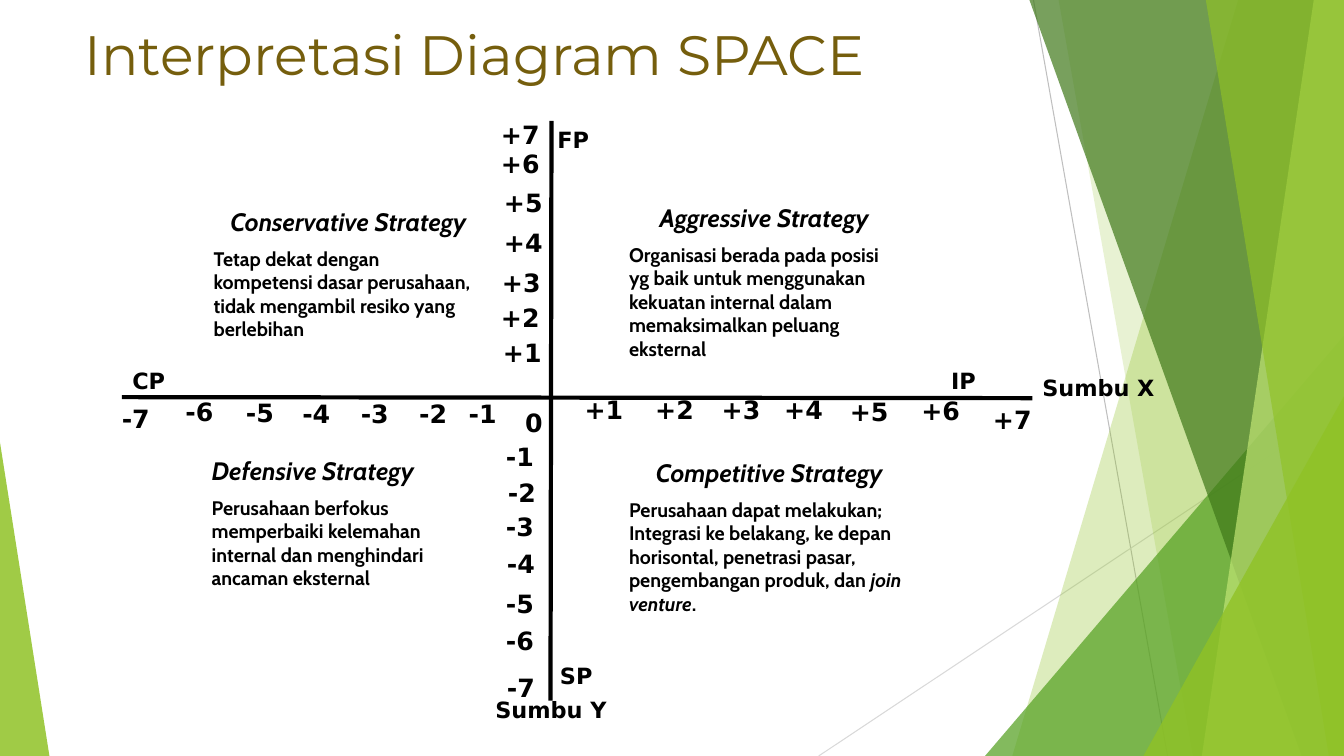
from lxml.etree import SubElement
from pptx import Presentation
from pptx.dml.color import RGBColor
from pptx.enum.shapes import MSO_CONNECTOR, MSO_SHAPE
from pptx.enum.text import PP_ALIGN
from pptx.oxml.ns import qn
from pptx.util import Inches, Pt

THEME = {
    "ink": "000000", "title": "755E0D",
    "grey": "BFBFBF", "pale_grey": "D9D9D9",
    "lime": "90C226", "pale_lime": "C0E474", "green": "54A021", "forest": "3F7819",
    "title_font": "Montserrat", "label_font": "DejaVu Sans", "body_font": "Cabin",
    "title_size": 39.6, "heading_size": 18, "tick_size": 18, "label_size": 16, "body_size": 14,
}

# Grid of square one-inch cells: 13.33 columns by 7.5 rows
COLUMN = ROW = Inches(1)
COLUMNS, ROWS = 13.33, 7.5

presentation = Presentation()
presentation.slide_width = round(COLUMNS * COLUMN)
presentation.slide_height = round(ROWS * ROW)
slide = presentation.slides.add_slide(presentation.slide_layouts[6])


def add_box(left, top, width, height):
    box = slide.shapes.add_textbox(
        round(left * COLUMN), round(top * ROW), round(width * COLUMN), round(height * ROW))
    box.text_frame.word_wrap = True
    return box.text_frame


def write(paragraph, text, size="tick_size", font="label_font", color="ink",
          bold=True, italic=False, align=PP_ALIGN.LEFT):
    paragraph.alignment = align
    run = paragraph.add_run()
    run.text = text
    run.font.name = THEME[font]
    run.font.size = Pt(THEME[size])
    run.font.color.rgb = RGBColor.from_string(THEME[color])
    run.font.bold = bold
    run.font.italic = italic


# Thin background lines and the two axes
lines = [
    (10.25, 0, 11.58, ROWS, "grey", 0.75),
    (COLUMNS, 4.03, 8.12, ROWS, "pale_grey", 0.75),
    (5.47, 1.2, 5.46, 6.95, "ink", 3),
    (1.21, 3.94, 10.24, 3.95, "ink", 3),
]
for start_x, start_y, end_x, end_y, color, weight in lines:
    line = slide.shapes.add_connector(
        MSO_CONNECTOR.STRAIGHT, round(start_x * COLUMN), round(start_y * ROW),
        round(end_x * COLUMN), round(end_y * ROW))
    line.line.color.rgb = RGBColor.from_string(THEME[color])
    line.line.width = Pt(weight)
    SubElement(line._element.spPr, qn("a:effectLst"))

# Facets: bands (top x, bottom x) reach the right edge,
# triangles (left, top, width, apex) reach the bottom edge
facets = [
    ((12.28, 10.04), "lime", 30),
    ((10.5, 11.83), "lime", 20),
    ((9.77, 3.33, 3.56, 1), "green", 72),
    ((10.21, 12.91), "forest", 70),
    ((13.03, 11.92), "pale_lime", 70),
    ((11.96, 13.18), "lime", 65),
    ((11.34, 3.93, 1.99, 1), "lime", 80),
    ((0, 4.39, 0.49, 0), "lime", 85),
]
for geometry, color, opacity in facets:
    if len(geometry) == 2:
        top_x, bottom_x = geometry
        corners = [(COLUMNS, 0), (COLUMNS, ROWS), (bottom_x, ROWS)]
        builder = slide.shapes.build_freeform(round(top_x * COLUMN), 0)
        builder.add_line_segments([(round(x * COLUMN), round(y * ROW)) for x, y in corners])
        facet = builder.convert_to_shape()
    else:
        left, top, width, apex = geometry
        facet = slide.shapes.add_shape(
            MSO_SHAPE.ISOSCELES_TRIANGLE, round(left * COLUMN), round(top * ROW),
            round(width * COLUMN), round((ROWS - top) * ROW))
        facet.adjustments[0] = apex
    facet.shadow.inherit = False
    facet.line.fill.background()
    facet.fill.solid()
    facet.fill.fore_color.rgb = RGBColor.from_string(THEME[color])
    tint = facet._element.spPr.find(qn("a:solidFill"))[0]
    SubElement(tint, qn("a:alpha"), val=str(opacity * 1000))

# Title
write(add_box(0.74, 0.15, 9.4, 0.84).paragraphs[0], "Interpretasi Diagram SPACE",
      size="title_size", font="title_font", color="title", bold=False)

# Axis names
axis_names = [
    ("FP", 5.25, 1.2, 0.87), ("SP", 5.28, 6.52, 0.87),
    ("CP", 1.04, 3.59, 0.87), ("IP", 9.12, 3.59, 0.87),
    ("Sumbu X", 10.23, 3.66, 1.33), ("Sumbu Y", 4.8, 6.86, 1.33),
]
for name, left, top, width in axis_names:
    write(add_box(left, top, width, 0.4).paragraphs[0], name,
          size="label_size", align=PP_ALIGN.CENTER)

# Scale numbers, each half axis listed from 1 to 7 outwards from the origin
scales = [
    ("+", [(5.7, 3.86), (6.4, 3.86), (7.06, 3.86), (7.68, 3.86),
           (8.33, 3.88), (9.04, 3.87), (9.75, 3.96)]),
    ("-", [(4.55, 3.9), (4.06, 3.9), (3.48, 3.9), (2.9, 3.9),
           (2.34, 3.89), (1.74, 3.88), (1.11, 3.95)]),
    ("+", [(4.89, 3.3), (4.87, 2.95), (4.88, 2.6), (4.9, 2.21),
           (4.9, 1.81), (4.87, 1.42), (4.87, 1.13)]),
    ("-", [(4.92, 4.33), (4.94, 4.69), (4.92, 5.02), (4.93, 5.39),
           (4.92, 5.79), (4.92, 6.15), (4.93, 6.62)]),
]
for sign, places in scales:
    for number, (left, top) in enumerate(places, start=1):
        write(add_box(left, top, 0.64, 0.4).paragraphs[0], f"{sign}{number}")
write(add_box(5.11, 3.99, 0.48, 0.43).paragraphs[0], "0")

# Strategy quadrants; description pieces alternate upright and italic
quadrants = [
    ("Defensive Strategy", PP_ALIGN.JUSTIFY, (2, 4.47, 2.89, 1.46),
     ["Perusahaan berfokus memperbaiki kelemahan internal dan menghindari ancaman eksternal"]),
    ("Conservative Strategy", PP_ALIGN.CENTER, (2.02, 2, 2.87, 1.7),
     ["Tetap dekat dengan kompetensi dasar perusahaan, tidak mengambil resiko yang berlebihan"]),
    ("Aggressive Strategy", PP_ALIGN.CENTER, (6.14, 1.96, 2.88, 1.7),
     ["Organisasi berada pada posisi yg baik untuk menggunakan kekuatan internal "
      "dalam memaksimalkan peluang eksternal"]),
    ("Competitive Strategy", PP_ALIGN.CENTER, (6.14, 4.49, 2.98, 1.7),
     ["Perusahaan dapat melakukan; Integrasi ke belakang, ke depan horisontal, "
      "penetrasi pasar, pengembangan produk, dan ", "join venture", "."]),
]
for heading, align, place, pieces in quadrants:
    frame = add_box(*place)
    write(frame.paragraphs[0], heading, size="heading_size", font="body_font",
          italic=True, align=align)
    description = frame.add_paragraph()
    description.space_before = Pt(THEME["body_size"] / 2)
    for index, piece in enumerate(pieces):
        write(description, piece, size="body_size", font="body_font", italic=index % 2 == 1)

presentation.save("out.pptx")
